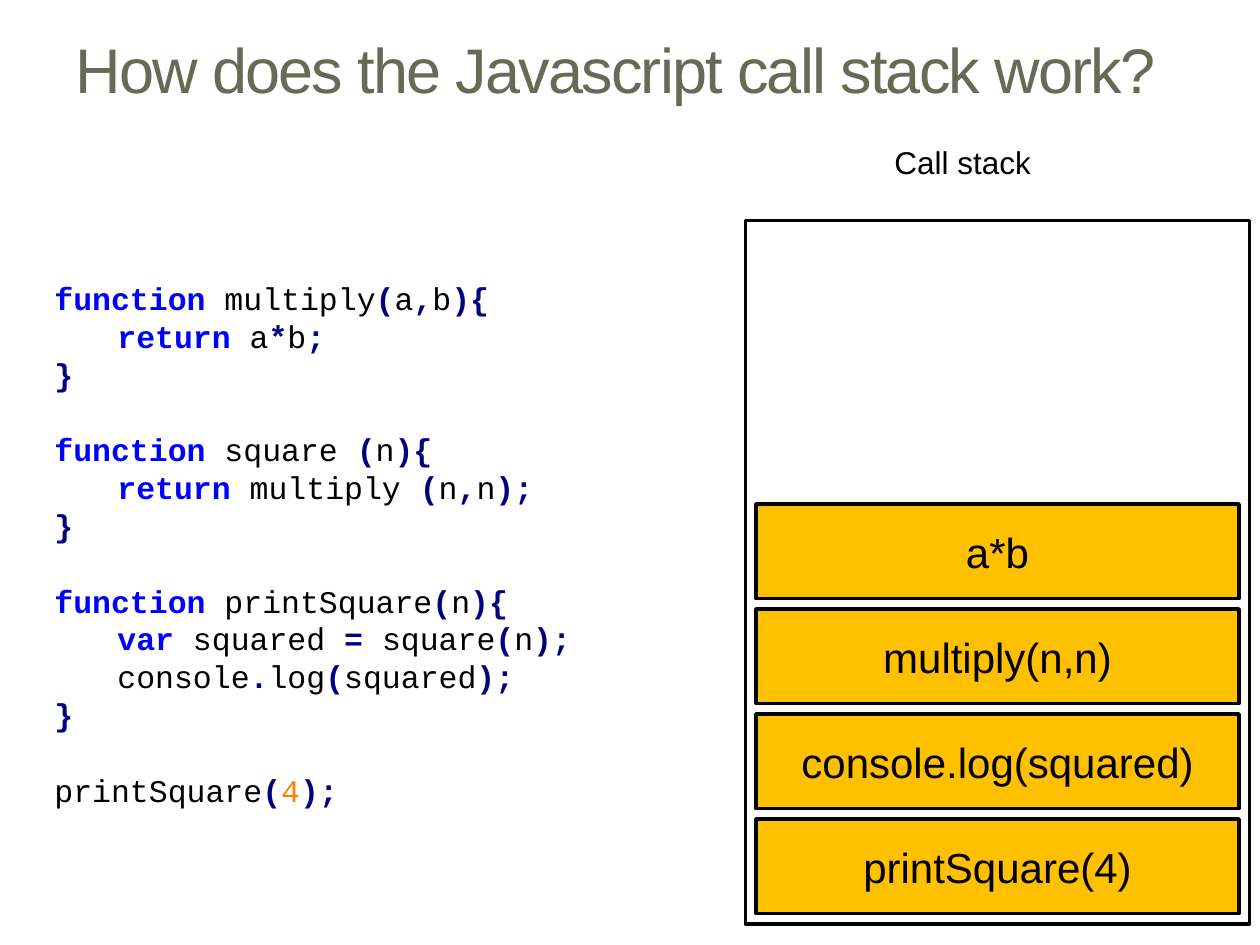
from dataclasses import dataclass
from itertools import groupby

from pptx import Presentation
from pptx.dml.color import RGBColor
from pptx.enum.shapes import MSO_SHAPE as Preset
from pptx.enum.text import MSO_ANCHOR as Anchor, MSO_AUTO_SIZE as AutoSize, PP_ALIGN as Align
from pptx.util import Inches, Pt

COLUMNS, ROWS = 120, 90
CELL = Inches(10) // COLUMNS
TITLE_ONLY = 5

KEYWORDS = {"function", "return", "var"}
OPERATORS = "(){},;*.="
CODE = """function multiply(a,b){
\treturn a*b;
}

function square (n){
\treturn multiply (n,n);
}

function printSquare(n){
\tvar squared = square(n);
\tconsole.log(squared);
}

printSquare(4);"""
STACK = ["a*b", "multiply(n,n)", "console.log(squared)", "printSquare(4)"]


@dataclass(frozen=True)
class Theme:
    font: str = "Arial"
    code_font: str = "Courier New"
    title: str = "676A55"
    text: str = "000000"
    keyword: str = "0000FF"
    operator: str = "000080"
    number: str = "FF8000"
    frame: str = "FFC000"
    title_size: float = 36
    frame_size: float = 24
    text_size: float = 18
    code_leading: float = 21.6
    line_width: float = 2.08


THEME = Theme()


def grid(column, row, columns, rows):
    return [cells * CELL for cells in (column, row, columns, rows)]


def add_run(paragraph, text, size, color, font=THEME.font, bold=False):
    run = paragraph.add_run()
    run.text = text
    run.font.name = font
    run.font.size = Pt(size)
    run.font.bold = bold
    run.font.color.rgb = RGBColor.from_string(color)
    return run


def set_title(slide, text, box):
    title = slide.shapes.title
    title.left, title.top, title.width, title.height = box
    frame = title.text_frame
    frame.vertical_anchor = Anchor.MIDDLE
    frame.auto_size = AutoSize.NONE
    paragraph = frame.paragraphs[0]
    paragraph.alignment = Align.LEFT
    run = add_run(paragraph, text, THEME.title_size, THEME.title)
    run.font._element.set("spc", "-100")


def add_text_box(slide, box):
    frame = slide.shapes.add_textbox(*box).text_frame
    frame.word_wrap = True
    return frame


def character_kind(character):
    if character in OPERATORS:
        return "operator"
    if character.isdigit():
        return "number"
    return "space" if character.isspace() else "word"


def token_color(kind, token):
    if token in KEYWORDS:
        return THEME.keyword
    return {"operator": THEME.operator, "number": THEME.number}.get(kind, THEME.text)


def colored_runs(line):
    tokens = []
    for kind, characters in groupby(line, character_kind):
        token = "".join(characters)
        tokens.append((token_color(kind, token), token))
    for color, group in groupby(tokens, lambda pair: pair[0]):
        yield color, "".join(token for _, token in group)


def add_code(slide, code, box):
    frame = add_text_box(slide, box)
    paragraph = frame.paragraphs[0]
    for block_index, block in enumerate(code.split("\n\n")):
        for line_index, line in enumerate(block.split("\n")):
            if block_index or line_index:
                paragraph = frame.add_paragraph()
            if block_index and not line_index:
                paragraph.space_before = Pt(THEME.code_leading)
            paragraph.line_spacing = Pt(THEME.code_leading)
            for color, text in colored_runs(line):
                bold = color in (THEME.keyword, THEME.operator)
                add_run(paragraph, text, THEME.text_size, color, THEME.code_font, bold)


def add_box(slide, box, fill=None, text=None):
    shape = slide.shapes.add_shape(Preset.RECTANGLE, *box)
    shape.shadow.inherit = False
    shape.line.color.rgb = RGBColor.from_string(THEME.text)
    shape.line.width = Pt(THEME.line_width)
    if fill:
        shape.fill.solid()
        shape.fill.fore_color.rgb = RGBColor.from_string(fill)
    else:
        shape.fill.background()
    if text:
        shape.text_frame.vertical_anchor = Anchor.MIDDLE
        paragraph = shape.text_frame.paragraphs[0]
        paragraph.alignment = Align.CENTER
        add_run(paragraph, text, THEME.frame_size, THEME.text)


def add_call_stack(slide):
    add_box(slide, grid(71, 21, 48, 67))
    label = add_text_box(slide, grid(84, 13, 20, 5))
    add_run(label.paragraphs[0], "Call stack", THEME.text_size, THEME.text)
    for index, call in enumerate(STACK):
        add_box(slide, grid(72, 48 + 10 * index, 46, 9), THEME.frame, call)


def main():
    presentation = Presentation()
    presentation.slide_width = COLUMNS * CELL
    presentation.slide_height = ROWS * CELL
    slide = presentation.slides.add_slide(presentation.slide_layouts[TITLE_ONLY])
    set_title(slide, "How does the Javascript call stack work?", grid(6, 0, 108, 13))
    add_code(slide, CODE, grid(4, 26, 60, 52))
    add_call_stack(slide)
    presentation.save("out.pptx")


if __name__ == "__main__":
    main()
